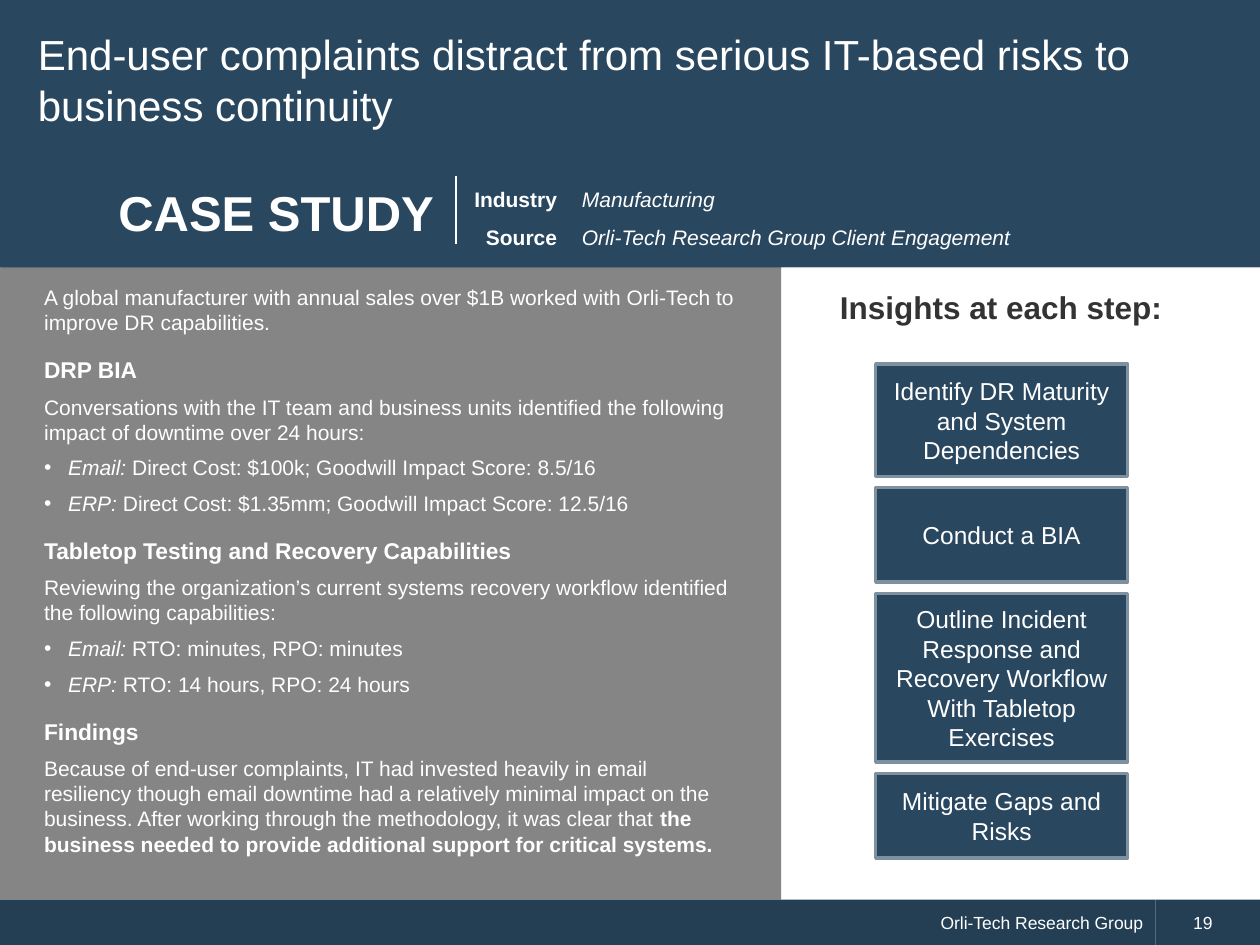
import pptx
import pptx.util
import pptx.dml.color
import pptx.enum.shapes
import pptx.enum.text
import pptx.oxml
import pptx.oxml.ns
from dataclasses import dataclass
from lxml import etree

Inches, Pt = pptx.util.Inches, pptx.util.Pt
RGB = pptx.dml.color.RGBColor.from_string
qn = pptx.oxml.ns.qn
ALIGN = pptx.enum.text.PP_ALIGN
ANCHOR = pptx.enum.text.MSO_ANCHOR
RECTANGLE = pptx.enum.shapes.MSO_SHAPE.RECTANGLE


@dataclass
class Theme:
    font: str = "Arial"
    navy: str = "29475F"
    footer: str = "243F54"
    panel: str = "858585"
    border: str = "7F919F"
    white: str = "FFFFFF"
    dark: str = "333333"
    title: int = 24
    case: int = 28
    insights: int = 18
    step: int = 14
    heading: int = 13
    body: int = 12
    small: int = 10


theme = Theme()


def add_box(shapes, left, top, width, height, fill):
    shape = shapes.add_shape(RECTANGLE, Inches(left), Inches(top), Inches(width), Inches(height))
    shape.shadow.inherit = False
    shape.fill.solid()
    shape.fill.fore_color.rgb = RGB(fill)
    shape.line.fill.background()
    return shape


def write(shape, lines, size, color=theme.white, align=ALIGN.LEFT, anchor=ANCHOR.TOP,
          bold=False, italic=False, spacing=None):
    frame = shape.text_frame
    frame.word_wrap = True
    frame.vertical_anchor = anchor
    frame.text = "\n".join(lines)
    for paragraph in frame.paragraphs:
        paragraph.alignment = align
        paragraph.line_spacing = spacing
        font = paragraph.font
        font.name, font.size, font.bold, font.italic = theme.font, Pt(size), bold, italic
        font.color.rgb = RGB(color)


presentation = pptx.Presentation()
presentation.slide_width, presentation.slide_height = Inches(10), Inches(7.5)
slide = presentation.slides.add_slide(presentation.slide_layouts[1])
shapes = slide.shapes

# Title
title = shapes.title
title.left, title.top, title.width, title.height = Inches(0), Inches(-0.02), Inches(10), Inches(1.3)
title.fill.solid()
title.fill.fore_color.rgb = RGB(theme.navy)
write(title, ["End-user complaints distract from serious IT-based risks to business continuity"],
      theme.title, anchor=ANCHOR.MIDDLE)
title.text_frame.auto_size = pptx.enum.text.MSO_AUTO_SIZE.NONE
title.text_frame.margin_left = title.text_frame.margin_right = Inches(0.3)
title.text_frame.margin_top = title.text_frame.margin_bottom = Inches(0.1)

# Case text on its grey panel
body = shapes.placeholders[1]
panel = add_box(shapes, 0, 2.06, 6.2, 5.08, theme.panel)
body._element.addprevious(panel._element)
body.left, body.top, body.width, body.height = Inches(0.25), Inches(2.21), Inches(5.72), Inches(4.96)
frame = body.text_frame
frame.word_wrap = True
frame.auto_size = pptx.enum.text.MSO_AUTO_SIZE.NONE

# Each entry: kind, first part, second part
case_text = [
    ("text", "A global manufacturer with annual sales over $1B worked with Orli-Tech to "
             "improve DR capabilities.", ""),
    ("heading", "DRP BIA", ""),
    ("text", "Conversations with the IT team and business units identified the following "
             "impact of downtime over 24 hours:", ""),
    ("bullet", "Email:", " Direct Cost: $100k; Goodwill Impact Score: 8.5/16"),
    ("bullet", "ERP:", " Direct Cost: $1.35mm; Goodwill Impact Score: 12.5/16"),
    ("heading", "Tabletop Testing and Recovery Capabilities", ""),
    ("text", "Reviewing the organization’s current systems recovery workflow identified "
             "the following capabilities:", ""),
    ("bullet", "Email:", " RTO: minutes, RPO: minutes"),
    ("bullet", "ERP:", " RTO: 14 hours, RPO: 24 hours"),
    ("heading", "Findings", ""),
    ("text", "Because of end-user complaints, IT had invested heavily in email resiliency though "
             "email downtime had a relatively minimal impact on the business. After working "
             "through the methodology, it was clear that ",
     "the business needed to provide additional support for critical systems."),
]
for index, (kind, first, second) in enumerate(case_text):
    paragraph = frame.paragraphs[0] if index == 0 else frame.add_paragraph()
    is_heading, is_bullet = kind == "heading", kind == "bullet"
    paragraph.space_before = Pt(6 if is_heading else 0)
    paragraph.space_after = Pt(6)
    properties = paragraph._p.get_or_add_pPr()
    indent = Inches(0.19) if is_bullet else 0
    properties.set("marL", str(indent))
    properties.set("indent", str(-indent))
    if is_bullet:
        etree.SubElement(properties, qn("a:buChar")).set("char", "•")
    else:
        etree.SubElement(properties, qn("a:buNone"))
    paragraph.font.name = theme.font
    paragraph.font.size = Pt(theme.heading if is_heading else theme.body)
    paragraph.font.color.rgb = RGB(theme.white)
    paragraph.font.bold = is_heading
    lead = paragraph.add_run()
    lead.text = first
    if is_bullet:
        lead.font.italic = True
    if second:
        rest = paragraph.add_run()
        rest.text = second
        if not is_bullet:
            rest.font.bold = True

# Footer
footer = add_box(shapes, 0, 7.14, 9.17, 0.37, theme.footer)
write(footer, ["Orli-Tech Research Group"], theme.small, align=ALIGN.RIGHT, anchor=ANCHOR.MIDDLE)
page = add_box(shapes, 9.17, 7.14, 0.83, 0.37, theme.footer)
write(page, ["19"], theme.small, anchor=ANCHOR.MIDDLE)
page.text_frame.margin_left = Inches(0.3)

# Insight steps
insights = shapes.add_textbox(Inches(6.21), Inches(2.24), Inches(3.47), Inches(0.4))
write(insights, ["Insights at each step:"], theme.insights, theme.dark, ALIGN.CENTER, bold=True)

steps = [
    ("Identify DR Maturity and System Dependencies", 0.89),
    ("Conduct a BIA", 0.75),
    ("Outline Incident Response and Recovery Workflow With Tabletop Exercises", 1.34),
    ("Mitigate Gaps and Risks", 0.67),
]
step_group = shapes.add_group_shape()
top, gap = 2.89, 0.09
for label, height in steps:
    step = add_box(step_group.shapes, 6.95, top, 2, height, theme.navy)
    step.line.color.rgb = RGB(theme.border)
    step.line.width = Pt(2)
    write(step, [label], theme.step, align=ALIGN.CENTER, anchor=ANCHOR.MIDDLE)
    top += height + gap

# Case study band with a soft lower edge
band_group = shapes.add_group_shape()
band = add_box(band_group.shapes, 0, 1.25, 10, 0.87, theme.navy)
write(band, ["CASE STUDY"], theme.case, bold=True, anchor=ANCHOR.MIDDLE)
band.text_frame.margin_left = Inches(0.94)
effects = band._element.spPr.find(qn("a:effectLst"))
shadow = etree.SubElement(effects, qn("a:outerShdw"), dist=str(Pt(1)), dir="2700000", rotWithShape="0")
shadow_color = etree.SubElement(shadow, qn("a:srgbClr"), val="000000")
etree.SubElement(shadow_color, qn("a:alpha"), val="14000")

labels = add_box(band_group.shapes, 3.57, 1.33, 0.95, 0.67, theme.navy)
write(labels, ["Industry", "Source"], theme.body, align=ALIGN.RIGHT, bold=True, spacing=1.5)
divider = band_group.shapes.add_connector(
    pptx.enum.shapes.MSO_CONNECTOR.STRAIGHT, Inches(3.62), Inches(1.4), Inches(3.62), Inches(1.94))
divider.line.color.rgb = RGB(theme.white)
divider.line.width = Pt(0.75)
etree.SubElement(divider._element.spPr, qn("a:effectLst"))
details = band_group.shapes.add_textbox(Inches(4.52), Inches(1.33), Inches(4.09), Inches(0.71))
write(details, ["Manufacturing", "Orli-Tech Research Group Client Engagement"], theme.body,
      italic=True, spacing=1.5)

presentation.save("out.pptx")
